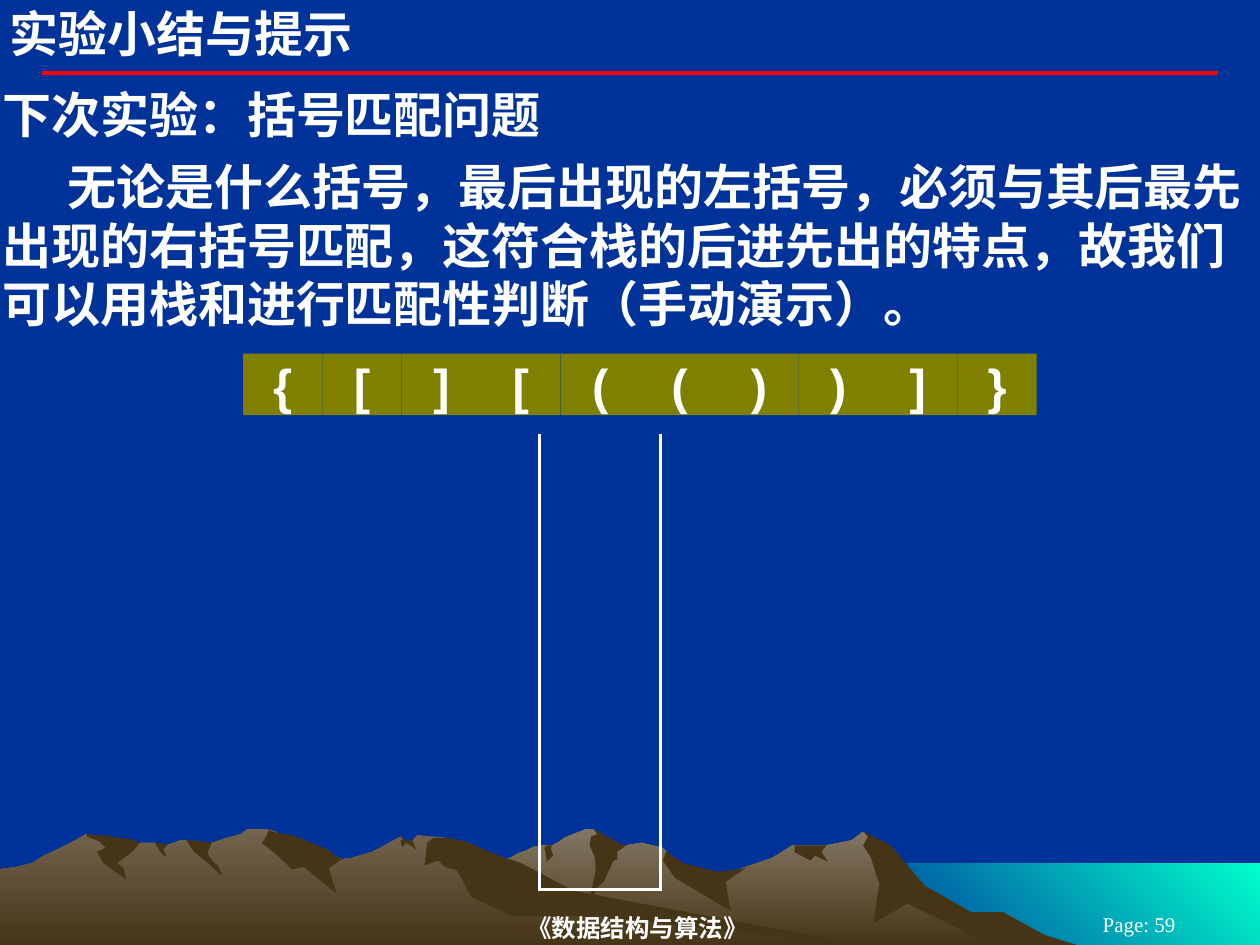
"""Build the slide on bracket matching with a stack."""
from dataclasses import dataclass

from lxml import etree
from pptx import Presentation
from pptx.dml.color import RGBColor
from pptx.enum.shapes import MSO_CONNECTOR, MSO_SHAPE
from pptx.enum.text import MSO_ANCHOR, MSO_AUTO_SIZE, PP_ALIGN
from pptx.oxml.ns import qn
from pptx.util import Cm, Pt

LEFT, MID = PP_ALIGN.LEFT, PP_ALIGN.CENTER
TOP, HALF = MSO_ANCHOR.TOP, MSO_ANCHOR.MIDDLE
FIXED = MSO_AUTO_SIZE.NONE
RECT, LINE = MSO_SHAPE.RECTANGLE, MSO_CONNECTOR.STRAIGHT
PLAIN = "{2D5ABB26-0587-4C30-8999-92F81FD0307C}"
UNIT = Cm(2.54) / 100


@dataclass(frozen=True)
class Theme:
    back: str = "003399"
    ink: str = "FFFFFF"
    rule: str = "FF0000"
    tile: str = "808000"
    rock: str = "463416"
    sea: tuple = ("00FFCC", "003399", 225)
    ridge: tuple = ("837763", "463416", 270)
    hill: tuple = ("72644E", "463416", 270)
    sans: str = "Arial"
    serif: str = "Times New Roman"
    main: int = 28
    foot: int = 14
    page: int = 12


SEA = "1000,752 683,752 683,685 1000,685"
RIDGE = (
    "802,740 778,727 764,723 723,698 702,671 685,660 676,667 656,671 629,671 613,681 "
    "566,697 536,690 529,676 526,673 509,669 497,671 486,673 474,661 471,658 465,658 "
    "450,664 448,665 444,668 438,671 430,671 424,672 418,675 412,677 405,681 399,683 "
    "394,685 355,698 327,709 277,739 258,751 821,751")
HILL = (
    "690,751 667,748 432,712 354,665 331,663 327,668 323,668 318,664 296,676 279,681 "
    "271,682 260,676 236,681 223,663 219,660 212,658 196,658 191,662 180,665 168,669 "
    "160,671 148,667 143,667 132,671 128,671 123,669 111,669 94,671 68,662 56,669 "
    "46,674 35,679 26,685 14,688 0,690 0,751")
FRONT = (
    "796,724 771,724 734,703 707,671 685,660 689,664 685,671 691,680 698,702 693,733 "
    "720,717 792,752 858,751 829,742",
    "471,658 474,662 469,664 468,671 472,680 473,690 465,727 474,704 479,700 487,683 "
    "490,682 490,676 497,671 493,670",
    "529,676 528,678 526,683 536,697 580,723 576,700 592,689 570,692 542,685",
    "650,671 630,671 631,672 631,675 630,676 643,683 647,679 657,684 652,676 656,671",
    "433,677 432,673 434,671 438,671 439,670 437,673 439,679 434,684",
)
BACK = (
    "212,663 208,669 219,678 232,690 241,688 267,709 261,689 271,682 266,679 260,674 "
    "252,671 245,668 238,665 232,663 226,662 220,661 213,659",
    "370,668 361,666 354,665 344,665 339,669 337,687 348,683 353,688 363,691 374,712 "
    "407,727 472,727 690,751 683,750 455,707 427,692 411,684 401,681 386,675",
    "318,667 320,666 318,664 323,667 327,667 330,673 330,674 326,671 322,669 320,672 319,672",
    "154,667 161,668 168,669 165,676 165,678 169,684 173,687 176,694 176,695 165,685 "
    "154,676 148,667",
    "133,670 130,674 130,675 132,679 132,680 129,678 126,674 123,669",
    "109,668 111,669 105,676 93,685 98,689 100,698 82,685 77,676 84,673 79,668 69,664 "
    "69,662 77,663 84,663 94,665 104,666",
)


def put(frame, text, *, size, font, color, bold=True, align=LEFT, anchor=TOP,
        pad=(0, 0), dent=None):
    """Put text into a frame with the given format."""
    frame.word_wrap, frame.auto_size = True, FIXED
    frame.vertical_anchor = anchor
    frame.margin_left = frame.margin_right = Cm(pad[0])
    frame.margin_top = frame.margin_bottom = Cm(pad[1])
    par = frame.paragraphs[0]
    par.alignment, par.space_before = align, Pt(0)
    run = par.add_run()
    run.text = text
    run.font.size, run.font.name, run.font.bold = Pt(size), font, bold
    run.font.color.rgb = RGBColor.from_string(color)
    if dent is not None:
        props = par._p.get_or_add_pPr()
        props.set("marL", "0")
        props.set("indent", str(Cm(dent)))
        etree.SubElement(props, qn("a:buNone"))


class Page:
    """Hold the theme and the current slide."""

    def __init__(self, deck, theme):
        self.theme = theme
        self.slide = deck.slides.add_slide(deck.slide_layouts[1])
        self.shapes = self.slide.shapes
        fill = self.slide.background.fill
        fill.solid()
        fill.fore_color.rgb = RGBColor.from_string(theme.back)

    def paint(self, shape, color):
        """Fill a shape with a plain colour or a two-colour blend."""
        shape.shadow.inherit = False
        shape.line.fill.background()
        if isinstance(color, str):
            shape.fill.solid()
            shape.fill.fore_color.rgb = RGBColor.from_string(color)
            return
        shape.fill.gradient()
        shape.fill.gradient_angle = color[2]
        for stop, tone in zip(shape.fill.gradient_stops, color):
            stop.color.rgb = RGBColor.from_string(tone)

    def form(self, points, color):
        """Draw a closed outline from points in hundredths of an inch."""
        first, *rest = [tuple(map(int, pair.split(","))) for pair in points.split()]
        shape = self.shapes.build_freeform(*first, scale=UNIT)
        shape.add_line_segments(rest, close=True)
        self.paint(shape.convert_to_shape(), color)

    def rule(self, left, right, top):
        """Draw the level line below the title."""
        line = self.shapes.add_connector(LINE, Cm(left), Cm(top), Cm(right), Cm(top))
        line.line.color.rgb = RGBColor.from_string(self.theme.rule)
        line.line.width = Pt(2.25)
        etree.SubElement(line.element.spPr, qn("a:effectLst"))

    def label(self, frame, text, **form):
        """Put text in the main style unless told otherwise."""
        base = dict(size=self.theme.main, font=self.theme.sans, color=self.theme.ink)
        put(frame, text, **(base | form))

    def hold(self, index, box, text, **form):
        """Place and fill a placeholder above the shapes drawn so far."""
        shape = self.slide.placeholders[index]
        shape.left, shape.top, shape.width, shape.height = map(Cm, box)
        shape.element.getparent().append(shape.element)
        self.label(shape.text_frame, text, **form)

    def note(self, box, text, **form):
        """Add a text box."""
        self.label(self.shapes.add_textbox(*map(Cm, box)).text_frame, text, **form)

    def tile(self, box, text):
        """Add a filled box with one sign."""
        shape = self.shapes.add_shape(RECT, *map(Cm, box))
        self.paint(shape, self.theme.tile)
        self.label(shape.text_frame, text, align=MID, pad=(0.05, 0.03))

    def stack(self, box, rows):
        """Add a one-column table that is open at the top."""
        table = self.shapes.add_table(rows, 1, *map(Cm, box)).table
        table.first_row = table.horz_banding = False
        table._tbl.tblPr.find(qn("a:tableStyleId")).text = PLAIN
        for row in range(rows):
            cell = table.cell(row, 0)
            cell.fill.background()
            sides = ["lnL", "lnR"] + ["lnB"] * (row == rows - 1)
            for spot, side in enumerate(sides):
                edge = etree.Element(qn(f"a:{side}"), w=str(Pt(2.21)))
                fill = etree.SubElement(edge, qn("a:solidFill"))
                etree.SubElement(fill, qn("a:srgbClr"), val=self.theme.ink)
                cell._tc.get_or_add_tcPr().insert(spot, edge)


def main():
    """Build and save the deck."""
    deck = Presentation()
    deck.slide_width, deck.slide_height = Cm(25.4), Cm(19.05)
    theme = Theme()
    page = Page(deck, theme)

    page.form(SEA, theme.sea)
    for base, marks, color in ((RIDGE, FRONT, theme.ridge), (HILL, BACK, theme.hill)):
        page.form(base, color)
        for mark in marks:
            page.form(mark, theme.rock)
    page.rule(0.85, 24.55, 1.48)
    page.note((5.16, 18.34, 15.39, 0.71), "《数据结构与算法》", size=theme.foot,
              font=theme.serif, align=MID, anchor=HALF, pad=(0, 0.03))
    page.note((20.96, 18.42, 4.01, 0.43), "Page: 59", size=theme.page, font=theme.serif,
              bold=False, align=MID, anchor=HALF, pad=(0.25, 0.13))

    page.hold(0, (0.2, 0.08, 16.51, 1.19), "实验小结与提示")
    page.note((0, 1.68, 25.4, 1.24), "下次实验：括号匹配问题", pad=(0.05, 0.03))
    page.hold(1, (0, 3.12, 25.4, 3.61),
              "无论是什么括号，最后出现的左括号，必须与其后最先出现的右括号匹配，"
              "这符合栈的后进先出的特点，故我们可以用栈和进行匹配性判断（手动演示）。",
              pad=(0.05, 0.03), dent=1.31)
    page.stack((10.87, 8.74, 2.44, 9.19), 2)
    for index, sign in enumerate("{[][(())]}"):
        page.tile((4.9 + 1.6 * index, 7.13, 1.6, 1.24), sign)
    deck.save("out.pptx")


if __name__ == "__main__":
    main()
